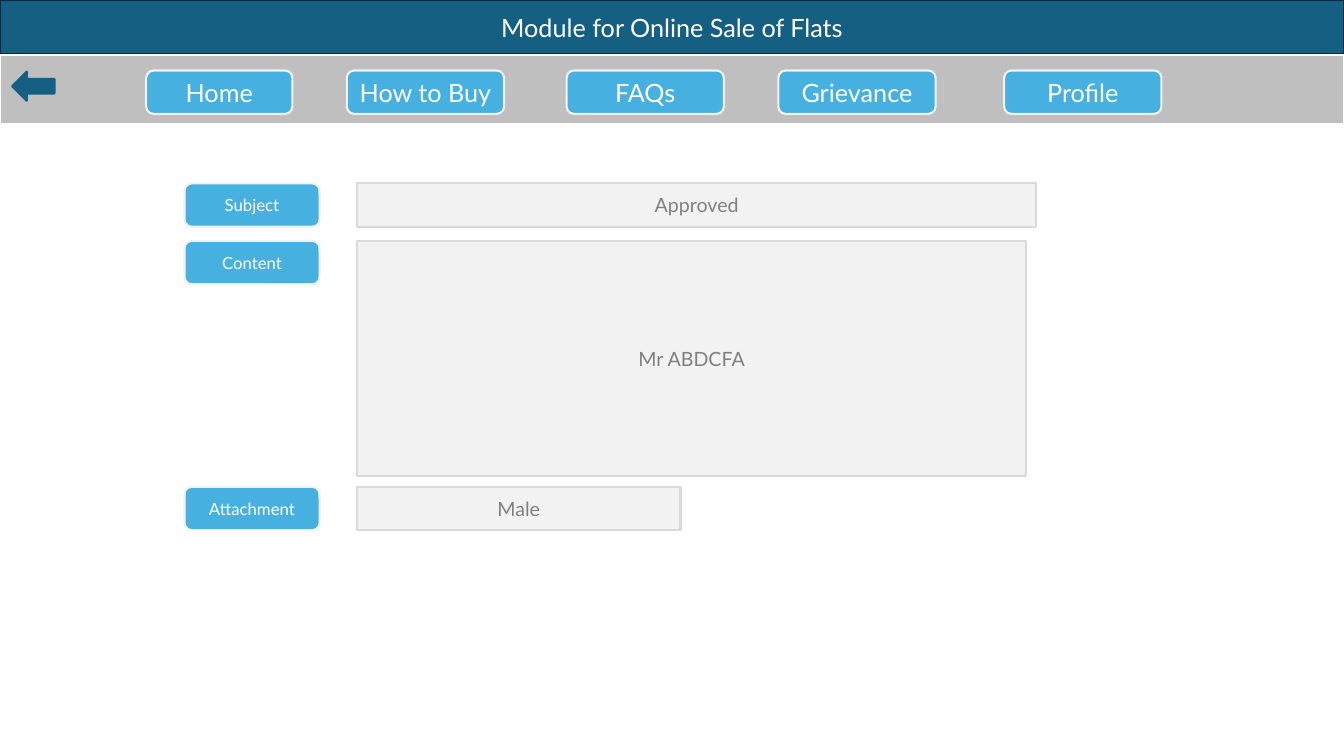
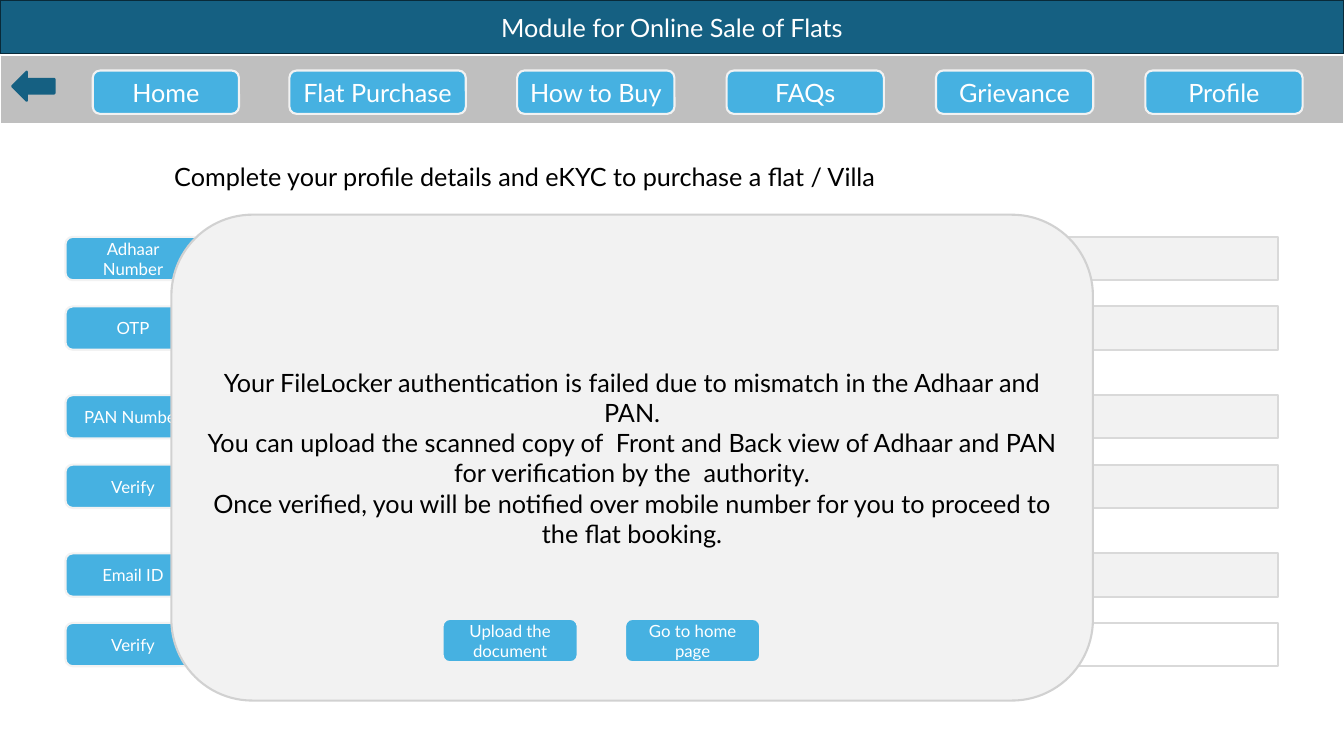
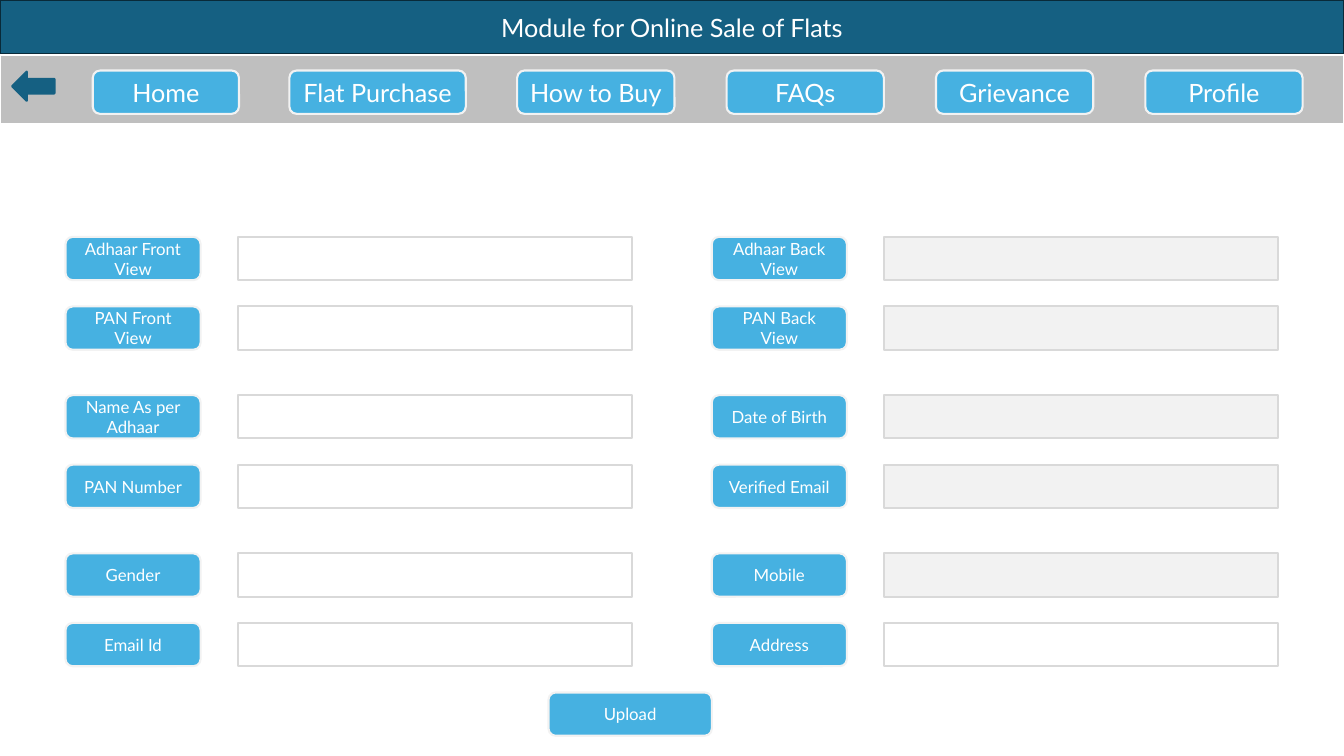
from dataclasses import dataclass
from typing import NamedTuple

from pptx import Presentation
from pptx.dml.color import RGBColor
from pptx.enum.shapes import MSO_SHAPE
from pptx.enum.text import MSO_ANCHOR, MSO_AUTO_SIZE, PP_ALIGN
from pptx.util import Inches, Pt

RECT = MSO_SHAPE.RECTANGLE
ROUND = MSO_SHAPE.ROUNDED_RECTANGLE
ARROW = MSO_SHAPE.LEFT_ARROW
MIDDLE = MSO_ANCHOR.MIDDLE
FIXED = MSO_AUTO_SIZE.NONE
CENTER = PP_ALIGN.CENTER
LEFT = PP_ALIGN.LEFT
TITLE_ONLY = 5


@dataclass(frozen=True)
class Theme:
    font: str = "Lato"
    navy: str = "156082"
    edge: str = "092A39"
    sky: str = "46B1E1"
    band: str = "BFBFBF"
    pale: str = "F2F2F2"
    rule: str = "D9D9D9"
    rim: str = "D1D1D1"
    gray: str = "808080"
    white: str = "FFFFFF"
    black: str = "000000"
    large: float = 18
    medium: float = 14
    small: float = 12
    line: float = 1.5


class Box(NamedTuple):
    left: float
    top: float
    width: float
    height: float


class Look(NamedTuple):
    shape: int
    fill: str
    line: str
    ink: str
    size: float


class Tab(NamedTuple):
    text: str
    left: float
    width: float


class Entry(NamedTuple):
    label: str
    text: str
    top: float
    width: float
    height: float


T = Theme()
WIDE, HIGH = 13.33, 7.5

BAR = Look(RECT, T.navy, T.edge, T.white, T.large)
STRIP = Look(RECT, T.band, T.white, T.black, T.large)
BACK = Look(ARROW, T.navy, T.navy, T.white, T.large)
TAB = Look(ROUND, T.sky, T.pale, T.white, T.large)
LABEL = Look(ROUND, T.sky, T.pale, T.white, T.small)
FIELD = Look(RECT, T.pale, T.rule, T.gray, T.medium)
BLANK = FIELD._replace(fill=T.white)
POPUP = Look(ROUND, T.pale, T.rim, T.black, T.large)

# Form grid: three pairs of rows, two columns of label and field
ROW_H = 0.43
TOP, PAIR, STEP = 2.35, 1.57, 0.69
ROWS = [TOP + PAIR * (i // 2) + STEP * (i % 2) for i in range(6)]
EDGE, COLUMN = 0.65, 6.41
LABEL_W, FIELD_W = 1.34, 3.91
FIELD_DX = LABEL_W + 0.37

TAB_TOP, TAB_W, HOME_W = 0.7, 1.56, 1.45
FIRST, LAST = 5.13, 11.36
PITCH = (LAST - FIRST) / 3

SHORT_NAV = [
    Tab("Home", 1.45, HOME_W),
    Tab("How to Buy", 3.44, TAB_W),
    Tab("FAQs", 5.62, TAB_W),
    Tab("Grievance", 7.72, TAB_W),
    Tab("Profile", 9.96, TAB_W),
]
FULL_NAV = [Tab("Home", 0.92, HOME_W), Tab("Flat Purchase", 2.87, 1.75)] + [
    Tab(text, FIRST + PITCH * i, TAB_W)
    for i, text in enumerate(["How to Buy", "FAQs", "Grievance", "Profile"])
]

ENTRIES = [
    Entry("Subject", "Approved", 1.82, 6.74, ROW_H),
    Entry("Content", "Mr ABDCFA", 2.39, 6.64, 2.33),
    Entry("Attachment", "Male", 4.83, 3.21, ROW_H),
]
CHECKS = ["Adhaar Number", "OTP", "PAN Number", "Verify", "Email ID", "Verify"]
NOTICE = [
    "Your FileLocker authentication is failed due to mismatch in the Adhaar and PAN.",
    "You can upload the scanned copy of  Front and Back view of Adhaar and PAN "
    "for verification by the  authority.",
    "Once verified, you will be notified over mobile number for you to proceed to "
    "the flat booking.",
]
FRONT = ["Adhaar Front View", "PAN Front View", "Name As per Adhaar",
         "PAN Number", "Gender", "Email Id"]
REAR = ["Adhaar Back View", "PAN Back View", "Date of Birth",
        "Verified Email", "Mobile", "Address"]


def color(code: str) -> RGBColor:
    return RGBColor.from_string(code)


def place(box: Box) -> list[int]:
    return [Inches(n) for n in box]


def write(shape, lines: list[str], size: float, ink: str, align=CENTER) -> None:
    frame = shape.text_frame
    frame.word_wrap = True
    frame.text = "\n".join(lines)
    for para in frame.paragraphs:
        para.alignment = align
        para.font.name = T.font
        para.font.size = Pt(size)
        para.font.color.rgb = color(ink)


def paint(shape, look: Look) -> None:
    shape.fill.solid()
    shape.fill.fore_color.rgb = color(look.fill)
    shape.line.color.rgb = color(look.line)
    shape.line.width = Pt(T.line)


def draw(slide, box: Box, look: Look, *lines: str) -> None:
    shape = slide.shapes.add_shape(look.shape, *place(box))
    shape.shadow.inherit = False
    paint(shape, look)
    if lines:
        shape.text_frame.vertical_anchor = MIDDLE
        write(shape, list(lines), look.size, look.ink)


def start(deck, tabs: list[Tab]):
    """Add a slide with the title bar, the back arrow and the menu."""
    slide = deck.slides.add_slide(deck.slide_layouts[TITLE_ONLY])
    title = slide.shapes.title
    title.left, title.top, title.width, title.height = place(Box(0, 0, WIDE, 0.54))
    paint(title, BAR)
    title.text_frame.auto_size = FIXED
    title.text_frame.vertical_anchor = MIDDLE
    write(title, ["Module for Online Sale of Flats"], BAR.size, BAR.ink)

    draw(slide, Box(0, 0.55, WIDE, 0.68), STRIP)
    for tab in tabs:
        draw(slide, Box(tab.left, TAB_TOP, tab.width, ROW_H), TAB, tab.text)
    draw(slide, Box(0.12, 0.71, 0.42, 0.29), BACK)
    return slide


def labels(slide, left: float, names: list[str]) -> None:
    for top, name in zip(ROWS, names):
        draw(slide, Box(left, top, LABEL_W, ROW_H), LABEL, name)


def fields(slide, left: float, looks: list[Look]) -> None:
    for top, look in zip(ROWS, looks):
        draw(slide, Box(left + FIELD_DX, top, FIELD_W, ROW_H), look)


def reply(deck) -> None:
    slide = start(deck, SHORT_NAV)
    left = 1.83
    for item in ENTRIES:
        draw(slide, Box(left, item.top, LABEL_W, ROW_H), LABEL, item.label)
        box = Box(left + FIELD_DX, item.top, item.width, item.height)
        draw(slide, box, FIELD, item.text)


def failure(deck) -> None:
    slide = start(deck, FULL_NAV)
    prompt = slide.shapes.add_textbox(*place(Box(1.63, 1.55, 7.63, 0.4)))
    text = "Complete your profile details and eKYC to purchase a flat / Villa"
    write(prompt, [text], T.large, T.black, LEFT)
    labels(slide, EDGE, CHECKS)
    fields(slide, EDGE + COLUMN, [FIELD] * 5 + [BLANK])
    draw(slide, Box(1.7, 2.13, 9.14, 4.82), POPUP, *NOTICE)
    for i, name in enumerate(["Upload the document", "Go to home page"]):
        draw(slide, Box(4.39 + 1.81 * i, 6.14, LABEL_W, ROW_H), LABEL, name)


def upload(deck) -> None:
    slide = start(deck, FULL_NAV)
    labels(slide, EDGE, FRONT)
    fields(slide, EDGE, [BLANK] * 6)
    labels(slide, EDGE + COLUMN, REAR)
    fields(slide, EDGE + COLUMN, [FIELD] * 5 + [BLANK])
    draw(slide, Box(5.44, 6.87, 1.62, ROW_H), LABEL, "Upload")


def main() -> None:
    deck = Presentation()
    deck.slide_width, deck.slide_height = Inches(WIDE), Inches(HIGH)
    for build in (reply, failure, upload):
        build(deck)
    deck.save("out.pptx")


if __name__ == "__main__":
    main()
